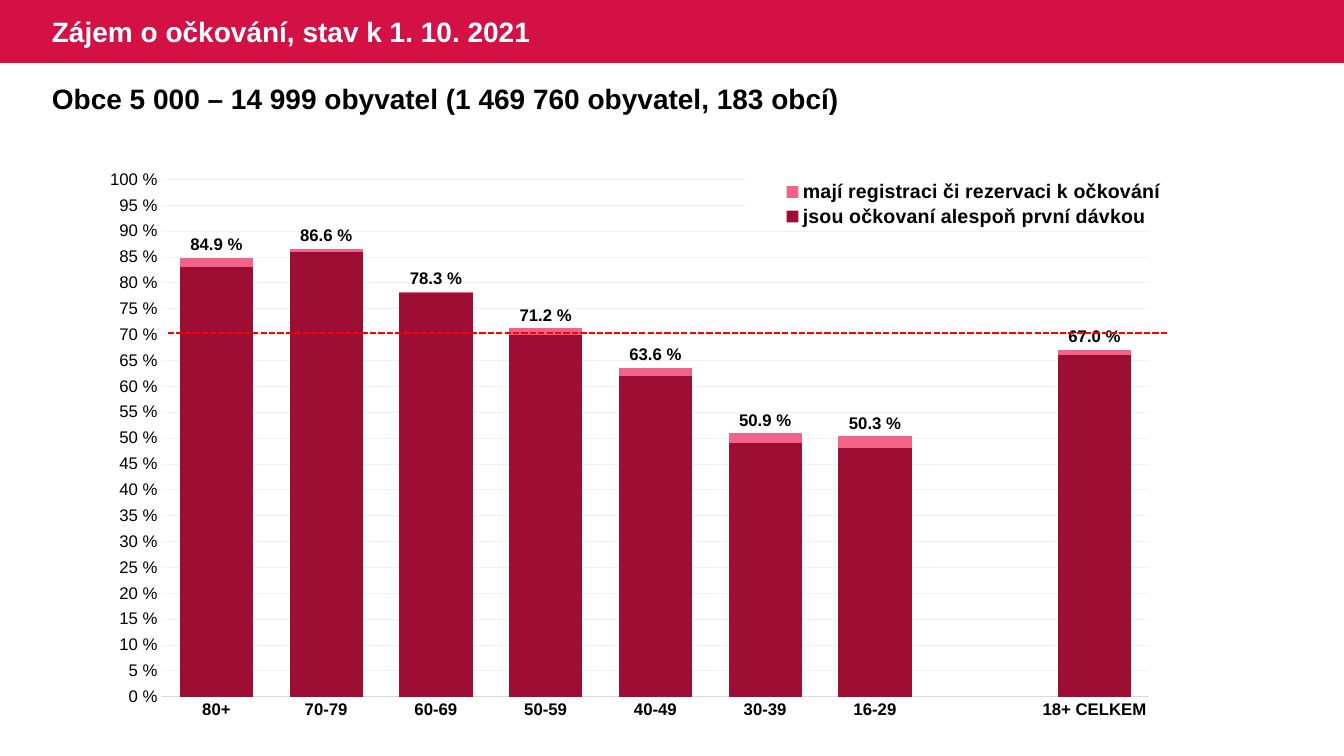
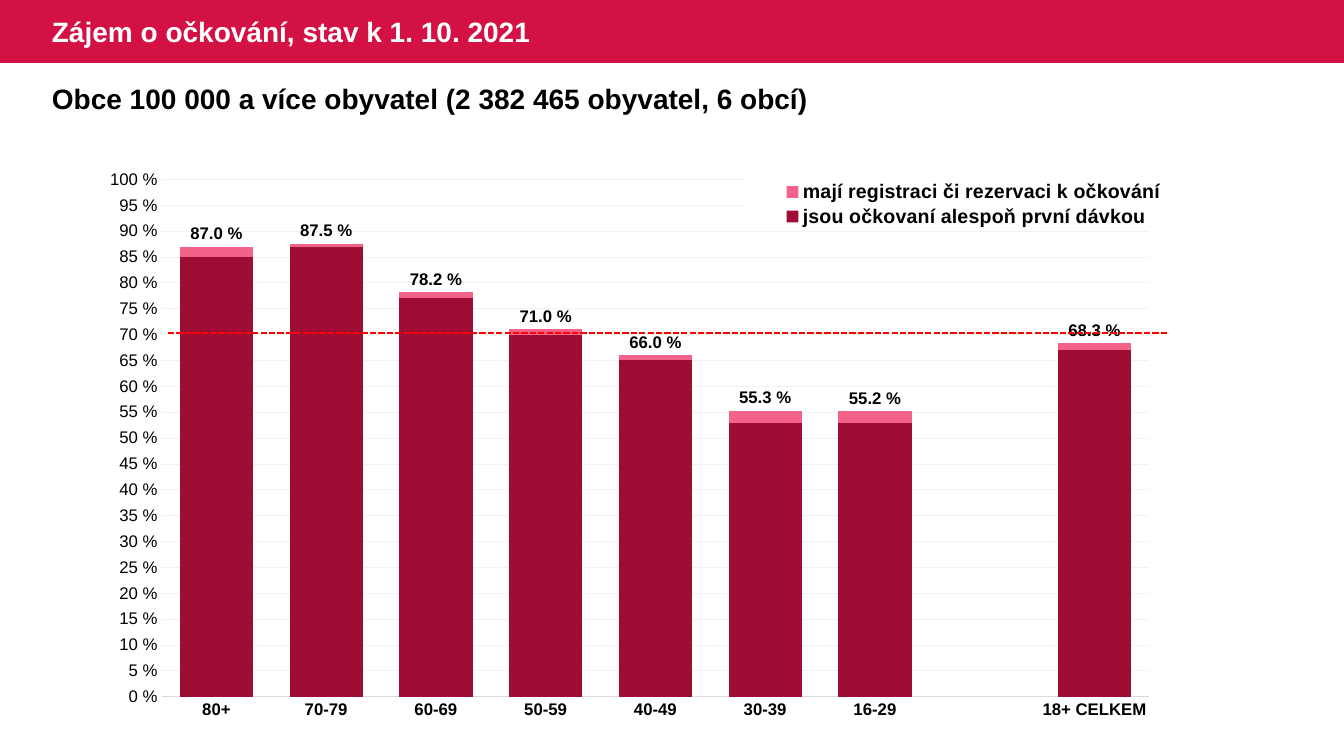
from dataclasses import dataclass

from lxml import etree
from pptx import Presentation
from pptx import util as u
from pptx.chart.data import CategoryChartData
from pptx.dml.color import RGBColor
from pptx.enum import chart as charts
from pptx.enum import dml, shapes, text
from pptx.oxml import parse_xml
from pptx.oxml.ns import nsdecls, qn

SLIDE_WIDTH, SLIDE_HEIGHT = 1344, 756
EMU_PER_PX = 12192000 / SLIDE_WIDTH
BAND_HEIGHT = 63
MARGIN = 42

FONT = "Arial"
BLACK, WHITE = "000000", "FFFFFF"
BAND, REGISTERED, VACCINATED = "D31145", "F26289", "9E0D34"
AXIS, GRID, TARGET = "D9D9D9", "F2F2F2", "FF0000"

TITLE = "Zájem o očkování, stav k 1. 10. 2021"
AGE_GROUPS = ("80+", "70-79", "60-69", "50-59", "40-49", "30-39", "16-29", "", "18+ CELKEM")


@dataclass(frozen=True)
class Box:
    left: int
    top: int
    width: int
    height: int

    def emu(self) -> tuple[u.Emu, ...]:
        return tuple(px(side) for side in (self.left, self.top, self.width, self.height))


@dataclass(frozen=True)
class Municipalities:
    subtitle: str
    registered: tuple[float | None, ...]
    vaccinated: tuple[float | None, ...]


CHART_BOX = Box(110, 161, 1114, 578)
PAGES = (
    Municipalities(
        "Obce 5 000 – 14 999 obyvatel (1 469 760 obyvatel, 183 obcí)",
        (84.9, 86.6, 78.3, 71.2, 63.6, 50.9, 50.3, None, 67),
        (83, 86, 78, 70, 62, 49, 48, None, 66),
    ),
    Municipalities(
        "Obce 100 000 a více obyvatel (2 382 465 obyvatel, 6 obcí)",
        (87, 87.5, 78.2, 71, 66, 55.3, 55.2, None, 68.3),
        (85, 87, 77, 70, 65, 53, 53, None, 67),
    ),
)


def px(length: int) -> u.Emu:
    return u.Emu(round(length * EMU_PER_PX))


def rgb(color: str) -> RGBColor:
    return RGBColor.from_string(color)


def style_font(font, size: int, color: str = BLACK, bold: bool = True) -> None:
    font.name = FONT
    font.size = u.Pt(size)
    font.bold = bold
    font.color.rgb = rgb(color)


def style_line(line, color: str, width: float) -> None:
    line.color.rgb = rgb(color)
    line.width = u.Pt(width)


def add_band(slide) -> None:
    band = slide.shapes.add_shape(
        shapes.MSO_SHAPE.RECTANGLE, *Box(0, 0, SLIDE_WIDTH, BAND_HEIGHT).emu()
    )
    band.shadow.inherit = False
    band.fill.solid()
    band.fill.fore_color.rgb = rgb(BAND)
    band.line.fill.background()


def add_heading(slide, box: Box, words: str, color: str, anchor) -> None:
    frame = slide.shapes.add_textbox(*box.emu()).text_frame
    frame.word_wrap = True
    frame.vertical_anchor = anchor
    run = frame.paragraphs[0].add_run()
    run.text = words
    style_font(run.font, 20, color)


def manual_layout(left: float, top: float, width: float, height: float, inner: bool = False):
    """Return a chart layout whose lengths are fractions of the chart."""
    target = '<c:layoutTarget val="inner"/>' if inner else ""
    return parse_xml(
        f'<c:layout {nsdecls("c")}><c:manualLayout>{target}'
        '<c:xMode val="edge"/><c:yMode val="edge"/>'
        f'<c:x val="{left}"/><c:y val="{top}"/><c:w val="{width}"/><c:h val="{height}"/>'
        "</c:manualLayout></c:layout>"
    )


def remove_layout(element) -> None:
    for layout in element.findall(qn("c:layout")):
        element.remove(layout)


def style_legend(chart) -> None:
    chart.has_legend = True
    legend = chart.legend
    legend.position = charts.XL_LEGEND_POSITION.TOP
    legend.include_in_layout = False
    style_font(legend.font, 14)
    element = legend._element
    remove_layout(element)
    element.find(qn("c:legendPos")).addnext(manual_layout(0.57, 0.03, 0.41, 0.09))
    white_fill = parse_xml(
        f'<c:spPr {nsdecls("c", "a")}><a:solidFill><a:srgbClr val="{WHITE}"/></a:solidFill></c:spPr>'
    )
    element.find(qn("c:txPr")).addprevious(white_fill)


def style_axes(chart) -> None:
    for axis, bold in ((chart.category_axis, True), (chart.value_axis, False)):
        axis.major_tick_mark = charts.XL_TICK_MARK.NONE
        axis.minor_tick_mark = charts.XL_TICK_MARK.NONE
        style_font(axis.tick_labels.font, 12, bold=bold)
    style_line(chart.category_axis.format.line, AXIS, 0.75)

    percent = chart.value_axis
    percent.minimum_scale, percent.maximum_scale, percent.major_unit = 0, 100, 5
    percent.tick_labels.number_format = '0" %"'
    percent.tick_labels.number_format_is_linked = False
    percent.format.line.fill.background()
    percent.has_major_gridlines = True
    style_line(percent.major_gridlines.format.line, GRID, 0.5)


def style_columns(plot) -> None:
    plot.gap_width = 50
    plot.overlap = 100
    plot.vary_by_categories = False
    for series, color in zip(plot.series, (REGISTERED, VACCINATED)):
        series.format.fill.solid()
        series.format.fill.fore_color.rgb = rgb(color)
    labels = plot.series[0].data_labels
    labels.show_value = True
    labels.number_format = '0.0" %"'
    labels.number_format_is_linked = False
    labels.position = charts.XL_LABEL_POSITION.OUTSIDE_END
    style_font(labels.font, 12)


def add_interest_chart(slide, page: Municipalities) -> None:
    data = CategoryChartData()
    data.categories = AGE_GROUPS
    data.add_series("mají registraci či rezervaci k očkování", page.registered)
    data.add_series("jsou očkovaní alespoň první dávkou", page.vaccinated)
    chart = slide.shapes.add_chart(
        charts.XL_CHART_TYPE.COLUMN_CLUSTERED, *CHART_BOX.emu(), data
    ).chart
    chart.has_title = False
    style_font(chart.font, 10, bold=False)
    style_axes(chart)
    style_columns(chart.plots[0])
    style_legend(chart)
    plot_area = chart._chartSpace.chart.plotArea
    remove_layout(plot_area)
    plot_area.insert(0, manual_layout(0.045, 0.032, 0.888, 0.895, inner=True))


def add_target_line(slide) -> None:
    """Mark the 70 % level across the chart."""
    target = slide.shapes.add_connector(
        shapes.MSO_CONNECTOR.STRAIGHT, px(168), px(333), px(1168), px(333)
    )
    style_line(target.line, TARGET, 1.5)
    target.line.dash_style = dml.MSO_LINE.SQUARE_DOT
    etree.SubElement(target._element.spPr, qn("a:effectLst"))


def add_page(presentation, page: Municipalities) -> None:
    slide = presentation.slides.add_slide(presentation.slide_layouts[6])
    add_band(slide)
    add_heading(slide, Box(MARGIN, 0, 595, BAND_HEIGHT), TITLE, WHITE, text.MSO_ANCHOR.MIDDLE)
    add_heading(slide, Box(MARGIN, 77, 1249, 44), page.subtitle, BLACK, text.MSO_ANCHOR.TOP)
    add_interest_chart(slide, page)
    add_target_line(slide)


def main() -> None:
    presentation = Presentation()
    presentation.slide_width = px(SLIDE_WIDTH)
    presentation.slide_height = px(SLIDE_HEIGHT)
    for page in PAGES:
        add_page(presentation, page)
    presentation.save("out.pptx")


if __name__ == "__main__":
    main()
